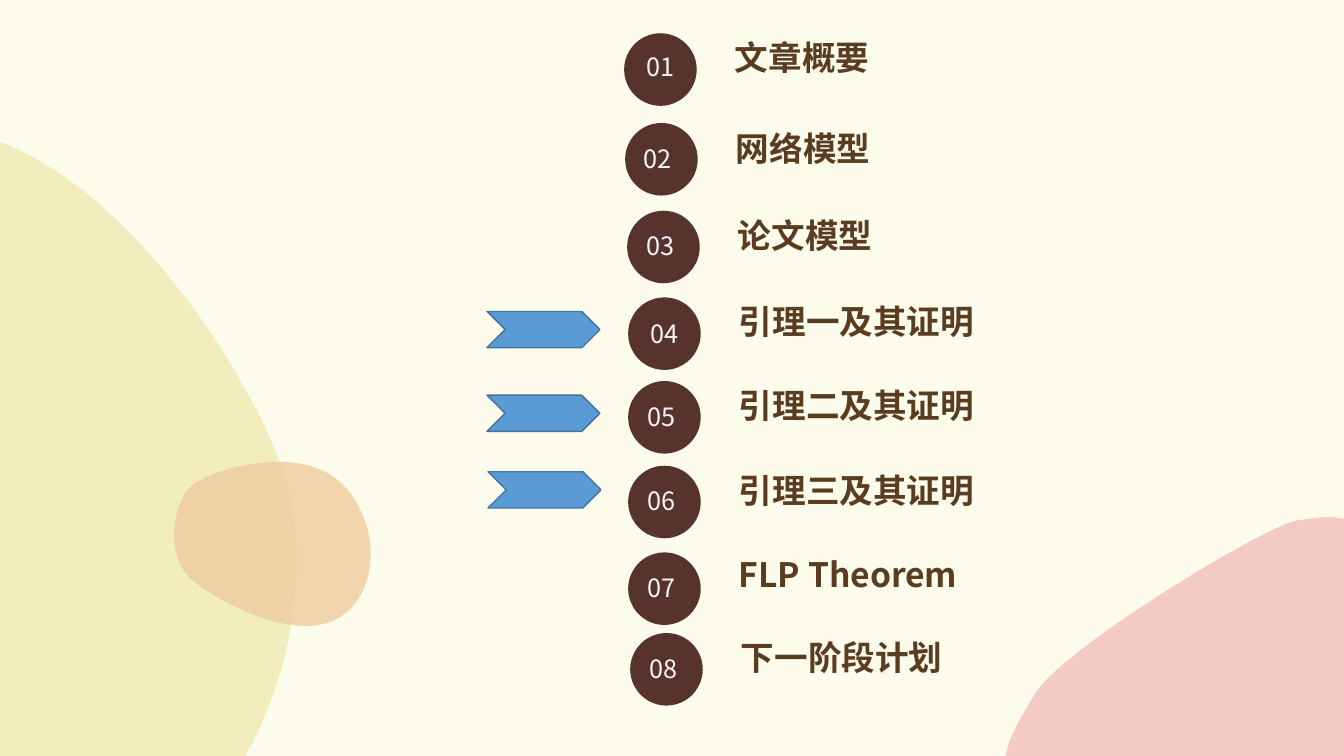
import math

import pptx
import pptx.util
import pptx.dml.color
import pptx.enum.shapes
import pptx.enum.text
from lxml import etree
from pptx.oxml.ns import qn

Inches = pptx.util.Inches
SHAPE = pptx.enum.shapes.MSO_SHAPE
ALIGN = pptx.enum.text.PP_ALIGN
FONT = "Noto Sans CJK SC"
BACKGROUND, BROWN, TITLE, NUMBER = "FDFCEC", "56342D", "5A3D20", "FAF6F5"
ARROW_FILL, ARROW_LINE = "5B9BD5", "43739E"

# title, title top, title width, circle left, circle top, number left, number top
AGENDA = [
    ("文章概要", 0.32, 2.45, 6.19, 0.33, 6.26, 0.46),
    ("网络模型", 1.22, 2.45, 6.2, 1.22, 6.23, 1.37),
    ("论文模型", 2.08, 2.45, 6.22, 2.09, 6.26, 2.24),
    ("引理一及其证明", 2.94, 2.73, 6.23, 2.95, 6.3, 3.11),
    ("引理二及其证明", 3.77, 2.73, 6.23, 3.78, 6.27, 3.93),
    ("引理三及其证明", 4.61, 2.95, 6.23, 4.62, 6.27, 4.77),
    ("FLP Theorem", 5.45, 2.45, 6.23, 5.48, 6.27, 5.63),
    ("下一阶段计划", 6.27, 2.45, 6.25, 6.28, 6.29, 6.43),
]
ARROWS = [(4.83, 3.09), (4.83, 3.92), (4.84, 4.68)]

# fill, opacity in percent, frame, rotation, start on the slide,
# segments on the slide (2 numbers: line, 6 numbers: Bézier curve)
BLOBS = [
    ("F4CBC4", 100, (9.97, 5.13, 3.36, 2.37), 0, (13.18, 5.13), [
        (13.21, 5.13, 13.24, 5.13, 13.27, 5.14), (13.33, 5.15), (13.33, 7.5),
        (9.97, 7.5), (10.01, 7.36), (10.08, 7.2, 10.17, 7.03, 10.29, 6.85),
        (10.61, 6.39, 12.59, 5.19, 12.88, 5.16),
        (12.99, 5.15, 13.09, 5.13, 13.18, 5.13)]),
    ("F1EDBC", 100, (-1.57, 2.98, 6.09, 2.95), 90, (0, 1.41), [
        (0, 7.5), (2.43, 7.5), (2.49, 7.39), (2.9, 6.62, 3.1, 5.49, 2.8, 4.65),
        (2.48, 3.74, 1.35, 1.94, 0.03, 1.42)]),
    ("EECC9E", 80, (1.91, 4.37, 1.59, 1.98), 100.1, (1.94, 4.79), [
        (1.7, 4.95, 1.64, 5.51, 1.88, 5.73), (2.11, 5.95, 2.93, 6.39, 3.36, 6.13),
        (3.79, 5.87, 3.77, 5.15, 3.37, 4.78), (2.97, 4.42, 2.19, 4.63, 1.94, 4.79)]),
]


def rgb(color):
    return pptx.dml.color.RGBColor.from_string(color)


def paint(sp, fill, line=None):
    sp.shadow.inherit = False
    sp.fill.solid()
    sp.fill.fore_color.rgb = rgb(fill)
    if line:
        sp.line.color.rgb = rgb(line)
        sp.line.width = pptx.util.Pt(1)
    else:
        sp.line.fill.background()


def add_shape(s, kind, x, y, w, h, fill, line=None):
    sp = s.shapes.add_shape(kind, Inches(x), Inches(y), Inches(w), Inches(h))
    paint(sp, fill, line)


def add_text(s, text, x, y, w, h, size, color, bold=False, align=ALIGN.LEFT):
    tf = s.shapes.add_textbox(Inches(x), Inches(y), Inches(w), Inches(h)).text_frame
    tf.word_wrap = True
    tf.auto_size = pptx.enum.text.MSO_AUTO_SIZE.SHAPE_TO_FIT_TEXT
    p = tf.paragraphs[0]
    p.alignment = align
    r = p.add_run()
    r.text = text
    r.font.size = pptx.util.Pt(size)
    r.font.bold = bold
    r.font.name = FONT
    r.font.color.rgb = rgb(color)
    etree.SubElement(r.font._element, qn("a:ea")).set("typeface", FONT)


def to_frame(x, y, frame, rotation):
    """Turn a point on the slide into a point in the unrotated frame."""
    left, top, w, h = frame
    dx, dy = x - left - w / 2, y - top - h / 2
    cos, sin = math.cos(math.radians(rotation)), math.sin(math.radians(rotation))
    return Inches(w / 2 + dx * cos + dy * sin), Inches(h / 2 - dx * sin + dy * cos)


def add_blob(s, fill, opacity, frame, rotation, start, segments):
    builder = s.shapes.build_freeform(*to_frame(*start, frame, rotation))
    builder.add_line_segments([to_frame(*seg[-2:], frame, rotation) for seg in segments])
    sp = builder.convert_to_shape()
    sp.left, sp.top, sp.width, sp.height = map(Inches, frame)
    sp.rotation = rotation

    outline = next(sp._element.iter(qn("a:path")))
    for child in list(outline):
        outline.remove(child)
    outline.set("w", str(sp.width))
    outline.set("h", str(sp.height))
    for i, seg in enumerate([start] + segments):
        tag = "a:moveTo" if i == 0 else "a:lnTo" if len(seg) == 2 else "a:cubicBezTo"
        command = etree.SubElement(outline, qn(tag))
        for x, y in zip(seg[::2], seg[1::2]):
            px, py = to_frame(x, y, frame, rotation)
            etree.SubElement(command, qn("a:pt"), x=str(px), y=str(py))
    etree.SubElement(outline, qn("a:close"))

    paint(sp, fill)
    if opacity < 100:
        color = sp._element.spPr.find(qn("a:solidFill"))[0]
        etree.SubElement(color, qn("a:alpha")).set("val", str(opacity * 1000))


def main():
    prs = pptx.Presentation()
    prs.slide_width, prs.slide_height = Inches(13.33), Inches(7.5)
    s = prs.slides.add_slide(prs.slide_layouts[6])
    s.background.fill.solid()
    s.background.fill.fore_color.rgb = rgb(BACKGROUND)

    for blob in BLOBS:
        add_blob(s, *blob)
    for i, (title, title_y, title_w, x, y, number_x, number_y) in enumerate(AGENDA, 1):
        add_text(s, title, x + 1, title_y, title_w, 0.5, 24, TITLE, bold=True)
        add_shape(s, SHAPE.OVAL, x, y, 0.72, 0.72, BROWN)
        add_text(s, f"{i:02}", number_x, number_y, 0.59, 0.4, 18, NUMBER, align=ALIGN.CENTER)
    for x, y in ARROWS:
        add_shape(s, SHAPE.CHEVRON, x, y, 1.12, 0.36, ARROW_FILL, ARROW_LINE)

    prs.save("out.pptx")


if __name__ == "__main__":
    main()
